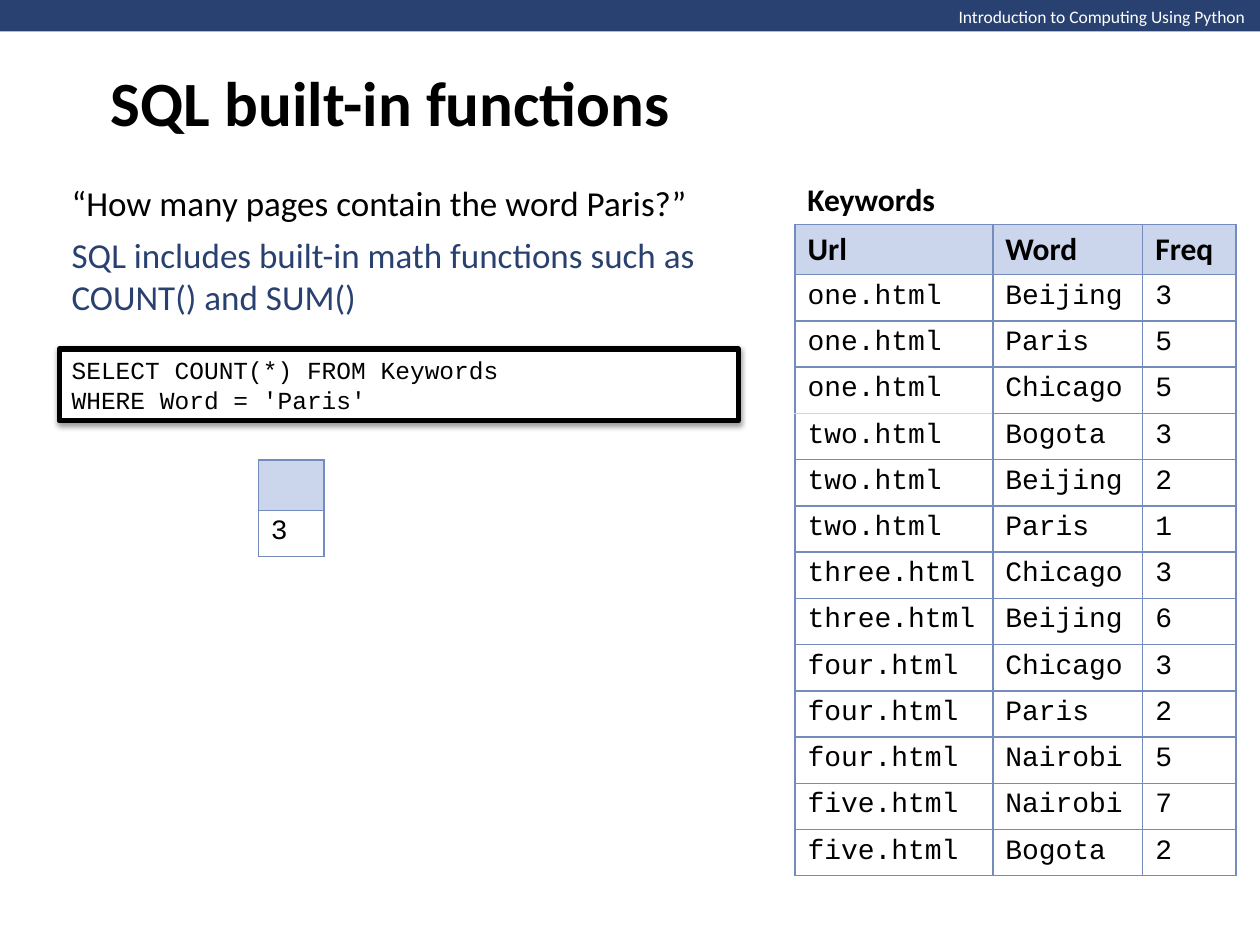
import pptx
import pptx.util
import pptx.dml.color
import pptx.enum.shapes
import pptx.enum.text
import pptx.oxml
import pptx.oxml.ns

Inches, Pt = pptx.util.Inches, pptx.util.Pt
RGBColor = pptx.dml.color.RGBColor
ANCHOR = pptx.enum.text.MSO_ANCHOR
SIZE = pptx.enum.text.MSO_AUTO_SIZE
RECT = pptx.enum.shapes.MSO_SHAPE.RECTANGLE

NAVY = RGBColor(0x29, 0x41, 0x71)
EDGE = RGBColor(0x74, 0x8C, 0xBC)
PALE = RGBColor(0xCB, 0xD6, 0xEC)
BLACK = RGBColor(0, 0, 0)
WHITE = RGBColor(255, 255, 255)
SANS, MONO = "Calibri", "Courier New"
NS = pptx.oxml.ns.nsdecls("a")

HEAD = ["Url", "Word", "Freq"]
ROWS = [
    ("one.html", "Beijing", 3),
    ("one.html", "Paris", 5),
    ("one.html", "Chicago", 5),
    ("two.html", "Bogota", 3),
    ("two.html", "Beijing", 2),
    ("two.html", "Paris", 1),
    ("three.html", "Chicago", 3),
    ("three.html", "Beijing", 6),
    ("four.html", "Chicago", 3),
    ("four.html", "Paris", 2),
    ("four.html", "Nairobi", 5),
    ("five.html", "Nairobi", 7),
    ("five.html", "Bogota", 2),
]
HEAD_H = 0.4
ROW_H = (5.17 - HEAD_H) / len(ROWS)


def write(frame, lines, size, color=BLACK, font=SANS, bold=False, pitch=None):
    """Write one paragraph per line, aligned left."""
    for i, line in enumerate(lines):
        para = frame.add_paragraph() if i else frame.paragraphs[0]
        para.alignment = pptx.enum.text.PP_ALIGN.LEFT
        if pitch:
            para.line_spacing = Pt(pitch)
        run = para.add_run()
        run.text = line
        run.font.name, run.font.size, run.font.bold = font, Pt(size), bold
        run.font.color.rgb = color


def add_label(slide, box, text, size, color=BLACK, bold=False, wrap=False,
              anchor=ANCHOR.MIDDLE):
    frame = slide.shapes.add_textbox(*map(Inches, box)).text_frame
    frame.word_wrap = wrap
    frame.auto_size = SIZE.SHAPE_TO_FIT_TEXT
    frame.vertical_anchor = anchor
    write(frame, [text], size, color, bold=bold)


def add_rect(slide, box, fill):
    rect = slide.shapes.add_shape(RECT, *map(Inches, box))
    rect.shadow.inherit = False
    rect.fill.solid()
    rect.fill.fore_color.rgb = fill
    rect.line.fill.background()
    return rect


def add_code(slide, box, lines):
    """Framed code with a soft shadow below."""
    rect = add_rect(slide, box, WHITE)
    rect.line.color.rgb = BLACK
    rect.line.width = Pt(3)
    glow = rect._element.spPr.find(pptx.oxml.ns.qn("a:effectLst"))
    glow.append(pptx.oxml.parse_xml(
        f'<a:outerShdw {NS} blurRad="{Pt(3.1)}" dist="{Pt(1.6)}" '
        'dir="5400000" rotWithShape="0"><a:srgbClr val="000000">'
        '<a:alpha val="38000"/></a:srgbClr></a:outerShdw>'))
    rect.text_frame.word_wrap = True
    rect.text_frame.vertical_anchor = ANCHOR.MIDDLE
    write(rect.text_frame, lines, 14, font=MONO, pitch=17)


def set_edge(cell, side, color):
    props = cell._tc.get_or_add_tcPr()
    props.append(pptx.oxml.parse_xml(
        f'<a:ln{side} {NS} w="{Pt(1)}"><a:solidFill>'
        f'<a:srgbClr val="{color}"/></a:solidFill></a:ln{side}>'))


def add_grid(slide, left, top, widths, head, rows, faint=()):
    """Table with a pale head; faint holds (row, column, side) of pale edges."""
    data = [head, *rows]
    high = HEAD_H + ROW_H * len(rows)
    table = slide.shapes.add_table(
        len(data), len(widths), Inches(left), Inches(top),
        Inches(sum(widths)), Inches(high)).table
    table.first_row = table.horz_banding = False
    for col, width in zip(table.columns, widths):
        col.width = Inches(width)
    for r, values in enumerate(data):
        table.rows[r].height = Inches(ROW_H if r else HEAD_H)
        for c, value in enumerate(values):
            cell = table.cell(r, c)
            for side in "LRTB":
                set_edge(cell, side, PALE if (r, c, side) in faint else EDGE)
            cell.fill.solid()
            cell.fill.fore_color.rgb = WHITE if r else PALE
            if value == "":
                continue
            if r:
                write(cell.text_frame, [str(value)], 16, font=MONO)
            else:
                write(cell.text_frame, [value], 18, bold=True)


def add_title(slide, box, text):
    title = slide.shapes.title
    title.left, title.top, title.width, title.height = map(Inches, box)
    title.text_frame.auto_size = SIZE.NONE
    title.text_frame.vertical_anchor = ANCHOR.MIDDLE
    write(title.text_frame, [text], 36, bold=True)


def main():
    deck = pptx.Presentation()
    deck.slide_width, deck.slide_height = Inches(10), Inches(7.5)
    slide = deck.slides.add_slide(deck.slide_layouts[5])

    # Top band and title
    add_rect(slide, (0, 0, 10.01, 0.25), NAVY)
    add_label(slide, (7.51, 0, 2.5, 0.27),
              "Introduction to Computing Using Python", 10, WHITE,
              anchor=ANCHOR.TOP)
    add_title(slide, (0.78, 0, 8.5, 1.61), "SQL built-in functions")

    # Question, hint and query
    add_label(slide, (0.47, 1.39, 5.12, 0.44),
              "“How many pages contain the word Paris?”", 20)
    add_label(slide, (0.47, 1.8, 5.39, 0.77),
              "SQL includes built-in math functions such as COUNT() and SUM()",
              20, NAVY, wrap=True)
    add_code(slide, (0.47, 2.77, 5.39, 0.57),
             ["SELECT COUNT(*) FROM Keywords", "WHERE Word = 'Paris'"])

    # Query result
    add_grid(slide, 2.05, 3.65, [0.52], [""], [[3]])

    # Keywords table
    add_label(slide, (6.31, 1.38, 1.24, 0.4), "Keywords", 18, bold=True)
    add_grid(slide, 6.31, 1.78, [1.57, 1.19, 0.74], HEAD, ROWS,
             faint={(3, 0, "B"), (4, 0, "T")})

    deck.save("out.pptx")


if __name__ == "__main__":
    main()
